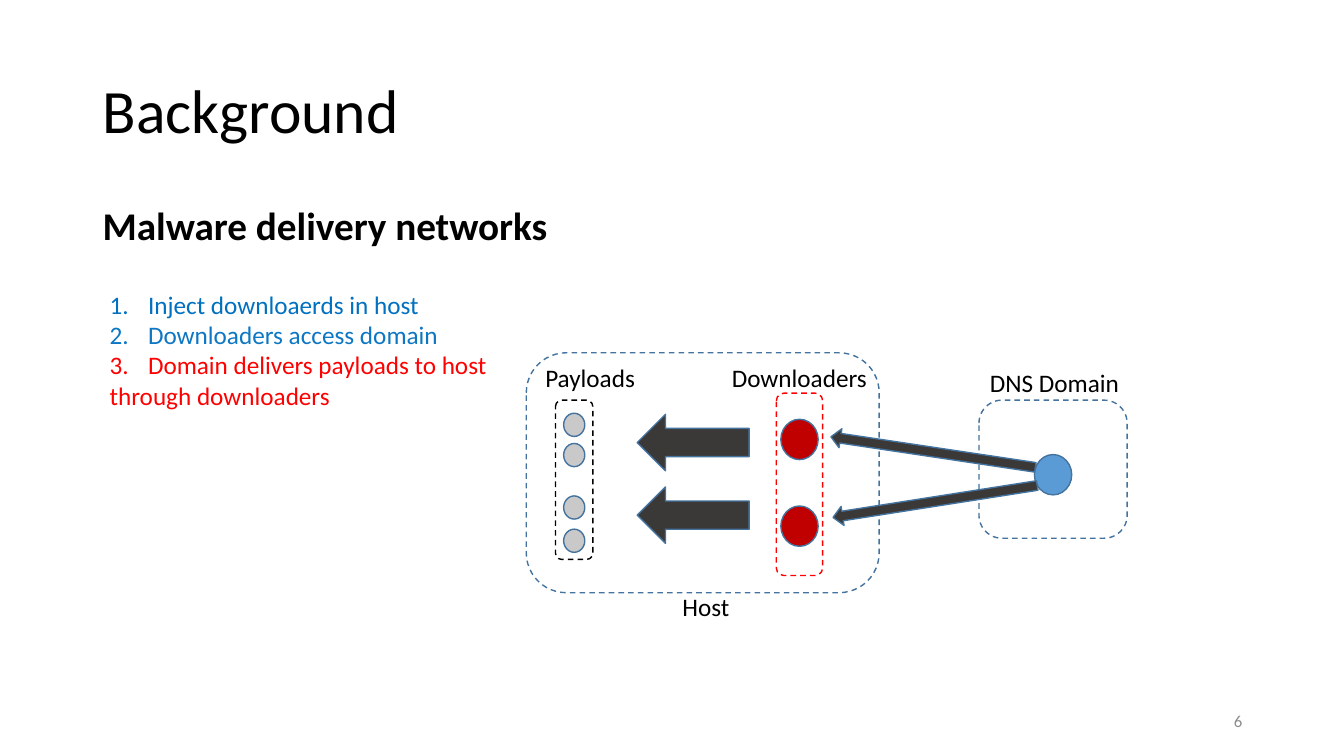
from lxml.etree import SubElement
from pptx import Presentation
from pptx.dml.color import RGBColor
from pptx.enum.dml import MSO_LINE_DASH_STYLE as Dash
from pptx.enum.shapes import MSO_SHAPE as Shape
from pptx.enum.text import MSO_ANCHOR as Anchor, MSO_AUTO_SIZE as AutoSize, PP_ALIGN as Align
from pptx.oxml.ns import qn
from pptx.util import Inches, Pt

COLORS = {
    "black": "000000", "number": "8C8C8C", "outline": "43739E",
    "domain": "5B9BD5", "downloader": "C00000", "payload": "C9C9C9",
    "arrow": "3B3838", "red": "FF0000", "inject": "0070C0", "access": "0D77C3",
}


def color(name):
    return RGBColor.from_string(COLORS[name])


def write(paragraph, text, size=18, fill="black", bold=False, align=Align.LEFT, spacing=None):
    paragraph.alignment = align
    paragraph.line_spacing = spacing
    run = paragraph.add_run()
    run.text = text
    run.font.name = "Calibri"
    run.font.size = Pt(size)
    run.font.bold = bold
    run.font.color.rgb = color(fill)


def add_frame(slide, left, top, width, height, wrap=True, anchor=Anchor.TOP):
    box = slide.shapes.add_textbox(Inches(left), Inches(top), Inches(width), Inches(height))
    frame = box.text_frame
    frame.word_wrap = wrap
    frame.auto_size = AutoSize.NONE if wrap else AutoSize.SHAPE_TO_FIT_TEXT
    frame.vertical_anchor = anchor
    return frame


def add_label(slide, text, left, top, width):
    frame = add_frame(slide, left, top, width, 0.4, wrap=False)
    write(frame.paragraphs[0], text)


def add_figure(slide, kind, left, top, width, height, fill=None, line="outline", rotation=0):
    shape = slide.shapes.add_shape(kind, Inches(left), Inches(top), Inches(width), Inches(height))
    shape.shadow.inherit = False
    shape.rotation = rotation
    shape.line.color.rgb = color(line)
    shape.line.width = Pt(1)
    if fill:
        shape.fill.solid()
        shape.fill.fore_color.rgb = color(fill)
    else:
        shape.fill.background()
        shape.line.dash_style = Dash.DASH


def add_group(slide, left, top, width, height, line, fill, dot_width, dot_height, offsets):
    add_figure(slide, Shape.ROUNDED_RECTANGLE, left, top, width, height, line=line)
    dot_left = left + (width - dot_width) / 2
    for offset in offsets:
        add_figure(slide, Shape.OVAL, dot_left, top + offset, dot_width, dot_height, fill)


def add_headings(slide, left, top, width):
    title = add_frame(slide, left, top, width, 1.45, anchor=Anchor.MIDDLE)
    write(title.paragraphs[0], "Background", size=44, spacing=0.9)
    body = add_frame(slide, left, top + 1.6, width, 4.76)
    body.paragraphs[0].space_before = Pt(10)
    write(body.paragraphs[0], "Malware delivery networks", size=28, bold=True, spacing=0.9)


def add_steps(slide, left, top, width, height):
    frame = add_frame(slide, left, top, width, height, wrap=False)
    steps = [
        ("Inject downloaerds in host", "inject", True),
        ("Downloaders access domain", "access", True),
        ("Domain delivers payloads to host", "red", True),
        ("through downloaders", "red", False),
    ]
    for index, (text, fill, numbered) in enumerate(steps):
        paragraph = frame.add_paragraph() if index else frame.paragraphs[0]
        write(paragraph, text, fill=fill)
        if numbered:
            properties = paragraph._p.get_or_add_pPr()
            properties.set("marL", str(Inches(0.38)))
            properties.set("indent", str(-Inches(0.38)))
            SubElement(properties, qn("a:buFont"), typeface="+mj-lt")
            SubElement(properties, qn("a:buAutoNum"), type="arabicPeriod")


def add_host(slide, left, top, width, height):
    add_figure(slide, Shape.ROUNDED_RECTANGLE, left, top, width, height)
    add_label(slide, "Payloads", left + 0.09, top + 0.05, 1.1)
    add_label(slide, "Downloaders", left + 1.94, top + 0.05, 1.56)
    add_label(slide, "Host", left + 1.45, top + height - 0.06, 0.67)
    add_group(slide, left + 0.29, top + 0.47, 0.37, 1.58, "black", "payload",
              0.21, 0.23, (0.13, 0.43, 0.95, 1.28))
    add_group(slide, left + 2.48, top + 0.4, 0.46, 1.81, "red", "downloader",
              0.37, 0.4, (0.26, 1.12))
    for offset in (0.61, 1.33):
        add_figure(slide, Shape.RIGHT_ARROW, left + 1.1, top + offset, 1.11, 0.56,
                   "arrow", rotation=180)


def add_domain(slide, left, top, width, height):
    add_label(slide, "DNS Domain", left + 0.01, top - 0.38, 1.5)
    add_group(slide, left, top, width, height, "outline", "domain", 0.37, 0.4, (0.54,))
    for x, y, rotation in ((-1.48, 0.42, 188.5), (-1.46, 0.91, 171.1)):
        add_figure(slide, Shape.RIGHT_ARROW, left + x, top + y, 2.05, 0.19,
                   "arrow", rotation=rotation)


def add_slide_number(slide, left, top, width, height):
    frame = add_frame(slide, left, top, width, height, anchor=Anchor.MIDDLE)
    write(frame.paragraphs[0], "6", size=12, fill="number", align=Align.RIGHT)


def main():
    presentation = Presentation()
    presentation.slide_width = Inches(13.33)
    presentation.slide_height = Inches(7.5)
    slide = presentation.slides.add_slide(presentation.slide_layouts[6])
    add_headings(slide, 0.92, 0.4, 11.5)
    add_steps(slide, 0.99, 2.82, 4.03, 1.31)
    add_host(slide, 5.22, 3.5, 3.5, 2.38)
    add_domain(slide, 9.71, 3.97, 1.47, 1.37)
    add_slide_number(slide, 9.42, 6.95, 3, 0.4)
    presentation.save("out.pptx")


if __name__ == "__main__":
    main()
